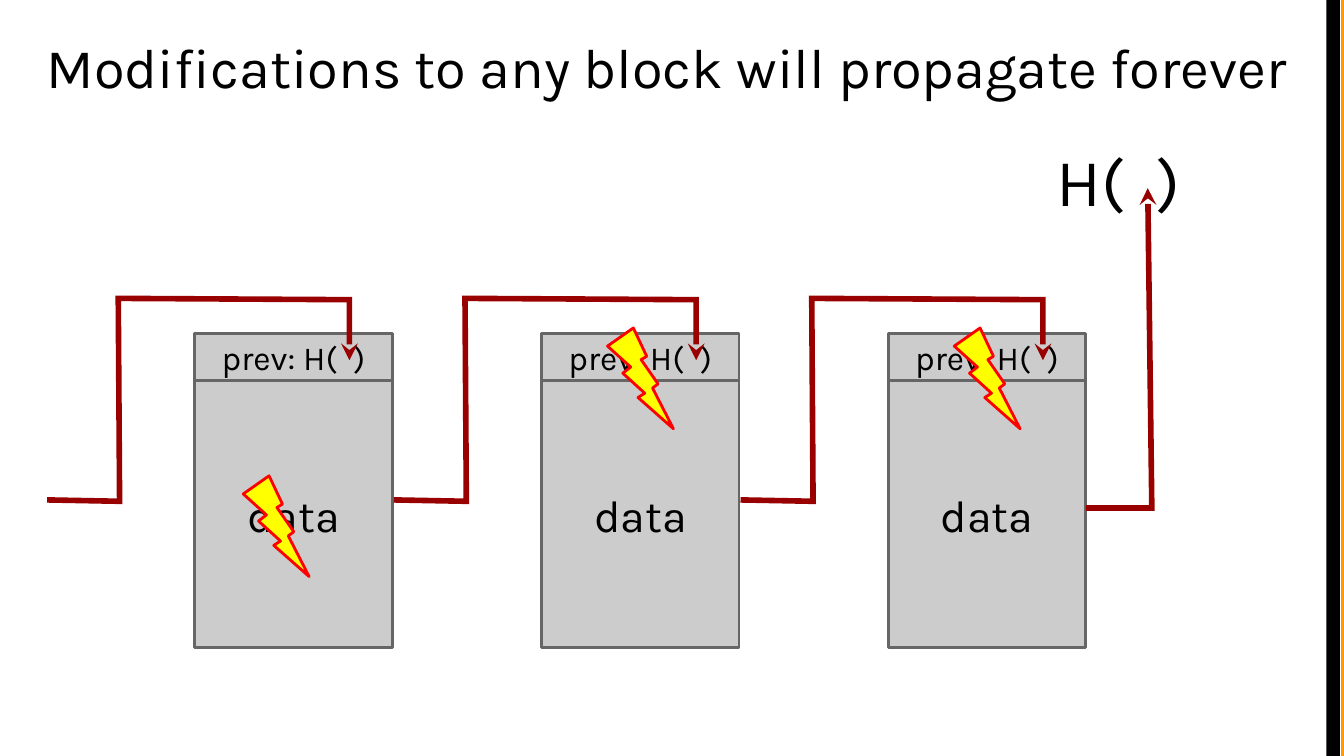
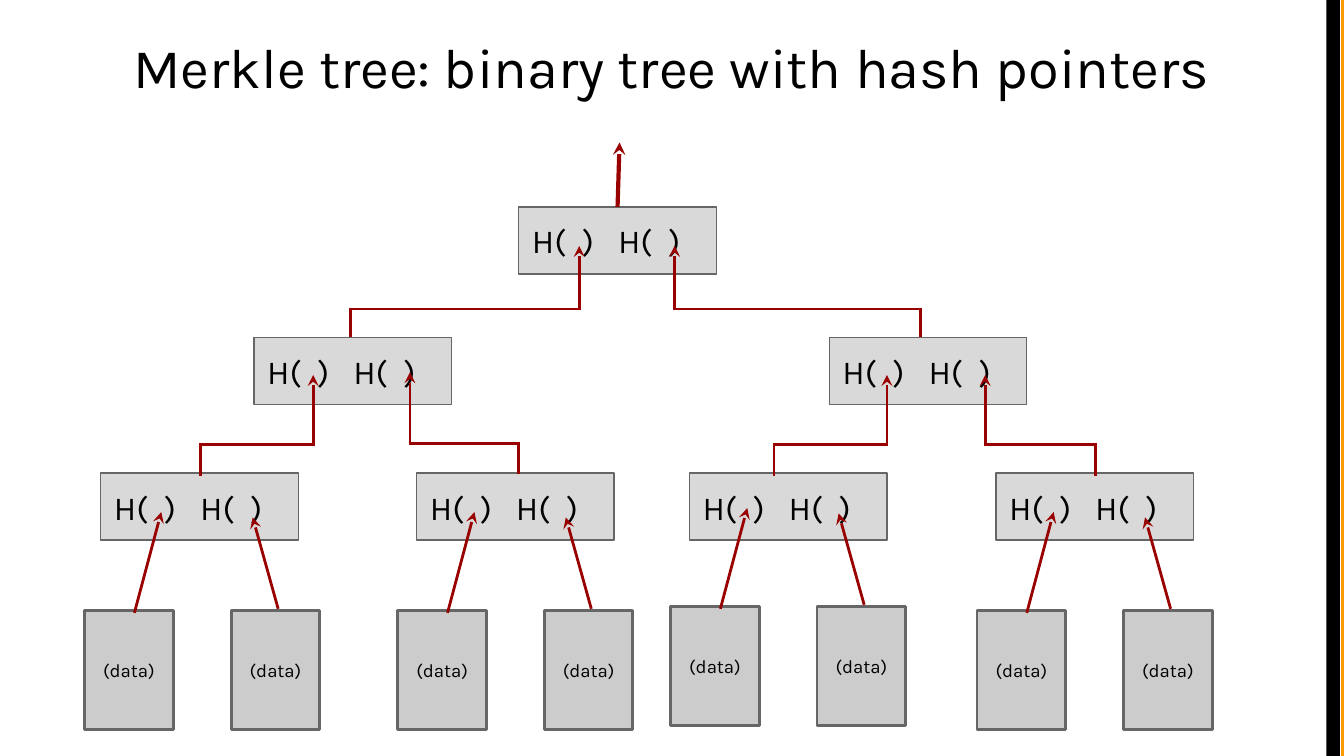
import pptx
import pptx.dml.color
import pptx.enum.shapes
import pptx.enum.text
import pptx.oxml
import pptx.oxml.ns
import pptx.util
from lxml import etree
from pptx.util import Inches

COLOURS = {
    "text": "000000",
    "band": "000000",
    "edge": "FF9900",
    "block": "CCCCCC",
    "node": "D9D9D9",
    "outline": "666666",
    "arrow": "990000",
    "bolt": "FFFF00",
    "bolt_outline": "FF0000",
}
COLOURS = {name: pptx.dml.color.RGBColor.from_string(value) for name, value in COLOURS.items()}
FONT = "Karla"
WIDTH = 10
HEIGHT = WIDTH * 9 / 16
SHAPES = pptx.enum.shapes.MSO_SHAPE
ALIGN = pptx.enum.text.PP_ALIGN
ANCHOR = pptx.enum.text.MSO_ANCHOR


def add_box(shapes, kind, position, fill, outline=None, line_width=1.5,
            text="", size=18, align=ALIGN.CENTER, anchor=ANCHOR.MIDDLE):
    shape = shapes.add_shape(kind, *map(Inches, position))
    shape.shadow.inherit = False
    shape.fill.solid()
    shape.fill.fore_color.rgb = COLOURS[fill]
    if outline:
        shape.line.color.rgb = COLOURS[outline]
        shape.line.width = pptx.util.Pt(line_width)
    else:
        shape.line.fill.background()
    if text:
        frame = shape.text_frame
        frame.word_wrap = True
        frame.vertical_anchor = anchor
        frame.margin_left = frame.margin_right = Inches(0.1)
        frame.margin_top = frame.margin_bottom = Inches(0.1)
        paragraph = frame.paragraphs[0]
        paragraph.text = text
        paragraph.alignment = align
        paragraph.font.name = FONT
        paragraph.font.size = pptx.util.Pt(size)
        paragraph.font.color.rgb = COLOURS["text"]
    return shape


def add_arrow(slide, points, width=1.5):
    points = [(Inches(x), Inches(y)) for x, y in points]
    if len(points) == 2:
        arrow = slide.shapes.add_connector(
            pptx.enum.shapes.MSO_CONNECTOR.STRAIGHT, *points[0], *points[1])
    else:
        builder = slide.shapes.build_freeform(*points[0], scale=1.0)
        builder.add_line_segments(points[1:], close=False)
        arrow = builder.convert_to_shape()
        arrow.fill.background()
    arrow.line.color.rgb = COLOURS["arrow"]
    arrow.line.width = pptx.util.Pt(width)
    properties = arrow.element.spPr
    line = properties.find(pptx.oxml.ns.qn("a:ln"))
    etree.SubElement(line, pptx.oxml.ns.qn("a:miter"), lim="800000")
    etree.SubElement(line, pptx.oxml.ns.qn("a:headEnd"), type="stealth")
    etree.SubElement(properties, pptx.oxml.ns.qn("a:effectLst"))
    return arrow


presentation = pptx.Presentation()
presentation.slide_width = Inches(WIDTH)
presentation.slide_height = Inches(HEIGHT)

titles = [
    ("Modifications to any block will propagate forever", 0.15, 9.63),
    ("Merkle tree: binary tree with hash pointers", 0.5, 9),
]
slides = []
for text, left, width in titles:
    slide = presentation.slides.add_slide(presentation.slide_layouts[5])
    slides.append(slide)
    add_box(slide.shapes, SHAPES.RECTANGLE, (9.98, 0, 0.1, HEIGHT), "edge")
    add_box(slide.shapes, SHAPES.RECTANGLE, (9.87, 0, 0.1, HEIGHT), "band")
    title = slide.shapes.title
    title.left, title.top = Inches(left), Inches(0.14)
    title.width, title.height = Inches(width), Inches(0.75)
    frame = title.text_frame
    frame.auto_size = pptx.enum.text.MSO_AUTO_SIZE.NONE
    frame.vertical_anchor = ANCHOR.TOP
    frame.margin_left = frame.margin_right = Inches(0.1)
    frame.margin_top = frame.margin_bottom = Inches(0.1)
    paragraph = frame.paragraphs[0]
    paragraph.text = text
    paragraph.alignment = ALIGN.CENTER
    paragraph.font.name = FONT
    paragraph.font.size = pptx.util.Pt(30)
    paragraph.font.color.rgb = COLOURS["text"]

chain, tree = slides

for index in range(3):
    left = 1.45 + 2.58 * index
    block = chain.shapes.add_group_shape()
    add_box(block.shapes, SHAPES.RECTANGLE, (left, 2.83, 1.47, 1.99),
            "block", "outline", text="data", size=24)
    add_box(block.shapes, SHAPES.RECTANGLE, (left, 2.48, 1.47, 0.35),
            "block", "outline", text="prev: H(  )")
    add_arrow(chain, [(left + 1.15, 2.68), (left + 1.15, 2.23), (left - 0.57, 2.22),
                      (left - 0.56, 3.73), (left - 1.1, 3.72)], 3)

head_box = chain.shapes.add_textbox(Inches(7.76), Inches(0.94), Inches(1.55), Inches(0.5))
head_box.text_frame.word_wrap = True
head_box.text_frame.margin_top = head_box.text_frame.margin_bottom = Inches(0.1)
paragraph = head_box.text_frame.paragraphs[0]
paragraph.text = "H(  )"
paragraph.font.name = FONT
paragraph.font.size = pptx.util.Pt(36)
paragraph.font.color.rgb = COLOURS["text"]
add_arrow(chain, [(8.54, 1.4), (8.57, 3.78), (8.08, 3.78)], 3)

for left, top in [(1.81, 3.54), (4.52, 2.44), (7.1, 2.44)]:
    add_box(chain.shapes, SHAPES.LIGHTNING_BOLT, (left, top, 0.49, 0.75), "bolt", "bolt_outline")

levels = [(1.54, [3.86]), (2.51, [1.89, 6.17]), (3.52, [0.75, 3.1, 5.13, 7.41])]
nodes = []
for top, lefts in levels:
    for left in lefts:
        nodes.append(add_box(
            tree.shapes, SHAPES.RECTANGLE, (left, top, 1.47, 0.5), "node", "outline", 0.75,
            "H(  )   H(  )", align=ALIGN.LEFT, anchor=ANCHOR.TOP))

hash_pointers = [
    (4.31, 1.83, 2.3, 2.61, 2.51),
    (5.02, 1.83, 2.3, 6.85, 2.51),
    (2.33, 2.79, 3.31, 1.49, 3.54),
    (3.05, 2.77, 3.3, 3.86, 3.53),
    (6.6, 2.79, 3.31, 5.76, 3.54),
    (7.33, 2.79, 3.31, 8.15, 3.54),
]
for hash_x, hash_y, bend_y, node_x, node_y in hash_pointers:
    add_arrow(tree, [(hash_x, hash_y), (hash_x, bend_y), (node_x, bend_y), (node_x, node_y)])

data_arrows = [
    (0, (0.57, -0.73), (0.37, 0.02)),
    (1.09, (0.16, -0.69), (0.35, -0.01)),
]
for pair_left, top in [(0.63, 4.54), (2.96, 4.54), (4.99, 4.51), (7.27, 4.54)]:
    for offset, head, tail in data_arrows:
        left = pair_left + offset
        add_box(tree.shapes, SHAPES.RECTANGLE, (left, top, 0.66, 0.89),
                "block", "outline", text="(data)", size=10)
        add_arrow(tree, [(left + x, top + y) for x, y in (head, tail)])

root_arrow = add_arrow(tree, [(4.61, 1.06), (4.6, 1.54)], 2.25)
root_arrow.end_connect(nodes[0], 0)

presentation.save("out.pptx")
